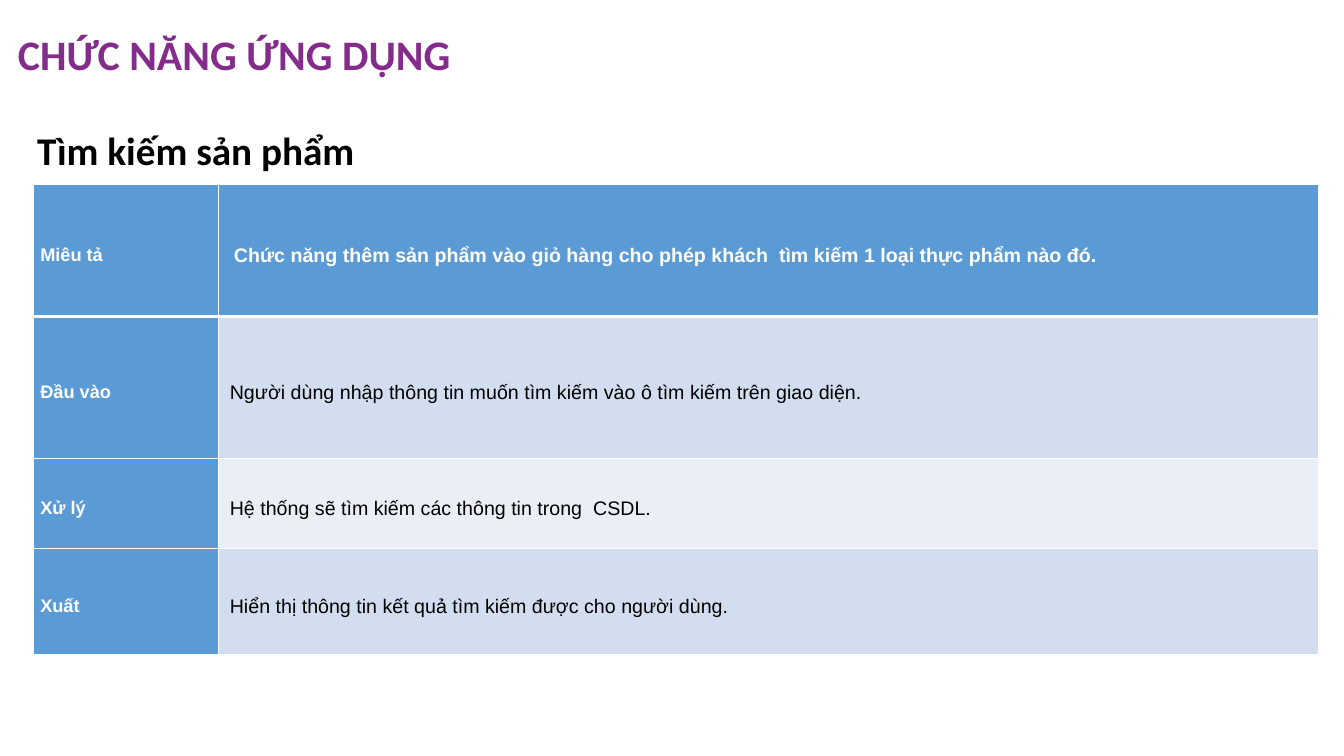
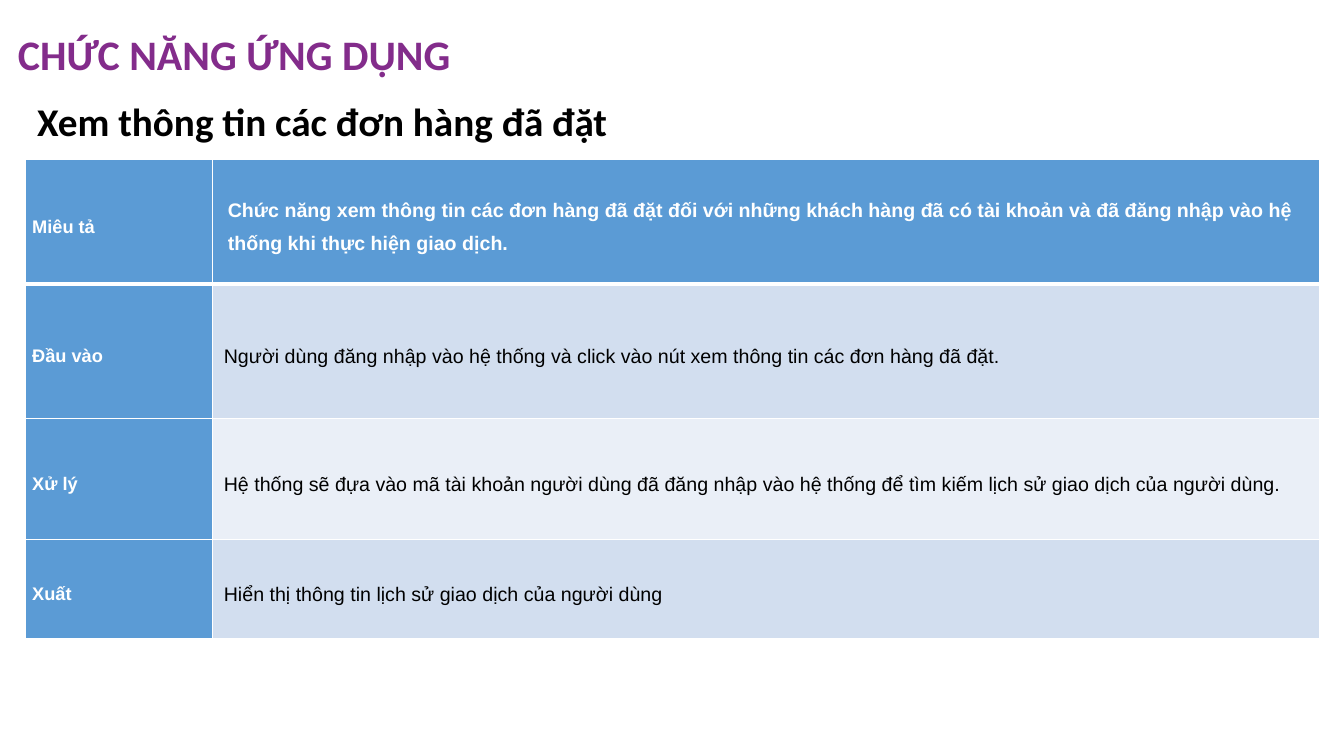
from dataclasses import dataclass

from lxml import etree
from pptx import Presentation
from pptx import util as u
from pptx.dml.color import RGBColor
from pptx.enum import text
from pptx.oxml import ns


@dataclass(frozen=True)
class Theme:
    title: RGBColor = RGBColor(0x83, 0x2C, 0x8B)
    ink: RGBColor = RGBColor(0, 0, 0)
    white: RGBColor = RGBColor(0xFF, 0xFF, 0xFF)
    accent: RGBColor = RGBColor(0x5B, 0x9B, 0xD5)
    bands: tuple[RGBColor, ...] = (RGBColor(0xD2, 0xDE, 0xEF), RGBColor(0xEA, 0xEF, 0xF7))
    heading_font: str = "Calibri"
    table_font: str = "Arial"
    title_size: int = 30
    subtitle_size: int = 28
    label_size: int = 13
    detail_size: int = 14
    rule: float = 1
    header_rule: float = 3


@dataclass(frozen=True)
class TextStyle:
    font: str
    size: int
    color: RGBColor
    bold: bool = True
    line_spacing: float = 1.5
    indent: float = 0


@dataclass(frozen=True)
class FunctionPage:
    subtitle: str
    subtitle_spacing: float
    left: float
    top: float
    columns: tuple[float, float]
    rows: tuple[float, ...]
    details: tuple[str, ...]


THEME = Theme()
TITLE = "CHỨC NĂNG ỨNG DỤNG"
LABELS = ("Miêu tả", "Đầu vào", "Xử lý", "Xuất")

TITLE_STYLE = TextStyle(THEME.heading_font, THEME.title_size, THEME.title, line_spacing=0.9)
LABEL_STYLE = TextStyle(THEME.table_font, THEME.label_size, THEME.white)
SUMMARY_STYLE = TextStyle(THEME.table_font, THEME.detail_size, THEME.white, indent=0.08)
DETAIL_STYLE = TextStyle(THEME.table_font, THEME.detail_size, THEME.ink, bold=False, indent=0.04)

PAGES = (
    FunctionPage(
        "Tìm kiếm sản phẩm", 1.5, 0.33, 1.83, (1.84, 10.91), (1.31, 1.41, 0.89, 1.05),
        (
            "Chức năng thêm sản phẩm vào giỏ hàng cho phép khách  tìm kiếm 1 loại thực phẩm nào đó.",
            "Người dùng nhập thông tin muốn tìm kiếm vào ô tìm kiếm trên giao diện.",
            "Hệ thống sẽ tìm kiếm các thông tin trong  CSDL.",
            "Hiển thị thông tin kết quả tìm kiếm được cho người dùng.",
        ),
    ),
    FunctionPage(
        "Xem thông tin các đơn hàng đã đặt", 0.9, 0.25, 1.58, (1.86, 10.98), (1.24, 1.33, 1.2, 0.99),
        (
            "Chức năng xem thông tin các đơn hàng đã đặt đối với những khách hàng đã có tài khoản "
            "và đã đăng nhập vào hệ thống khi thực hiện giao dịch.",
            "Người dùng đăng nhập vào hệ thống và click vào nút xem thông tin các đơn hàng đã đặt.",
            "Hệ thống sẽ đựa vào mã tài khoản người dùng đã đăng nhập vào hệ thống để tìm kiếm "
            "lịch sử giao dịch của người dùng.",
            "Hiển thị thông tin lịch sử giao dịch của người dùng",
        ),
    ),
)


def write(frame, content: str, style: TextStyle) -> None:
    paragraph = frame.paragraphs[0]
    paragraph.line_spacing = style.line_spacing
    if style.indent:
        properties = paragraph._p.get_or_add_pPr()
        properties.set("marL", str(u.Inches(style.indent)))
        properties.set("indent", "0")
    run = paragraph.add_run()
    run.text = content
    run.font.name = style.font
    run.font.size = u.Pt(style.size)
    run.font.bold = style.bold
    run.font.color.rgb = style.color


def add_heading(slide, top: float, width: float, height: float, content: str,
                style: TextStyle, anchor: text.MSO_ANCHOR) -> None:
    box = slide.shapes.add_textbox(u.Inches(0.08), u.Inches(top), u.Inches(width), u.Inches(height))
    frame = box.text_frame
    frame.word_wrap = True
    frame.vertical_anchor = anchor
    frame.margin_left = frame.margin_right = u.Inches(0.1)
    frame.margin_top = frame.margin_bottom = u.Inches(0.1)
    write(frame, content, style)


def set_borders(cell, top: float, bottom: float) -> None:
    """Draw white rules; call before the fill, which must follow them in the XML."""
    properties = cell._tc.get_or_add_tcPr()
    sides = {"lnL": THEME.rule, "lnR": THEME.rule, "lnT": top, "lnB": bottom}
    for side, width in sides.items():
        line = etree.SubElement(properties, ns.qn(f"a:{side}"), w=str(u.Pt(width)))
        fill = etree.SubElement(line, ns.qn("a:solidFill"))
        etree.SubElement(fill, ns.qn("a:srgbClr"), val=str(THEME.white))


def fill_cell(cell, row: int, content: str, style: TextStyle, color: RGBColor) -> None:
    set_borders(
        cell,
        top=THEME.header_rule if row == 1 else THEME.rule,
        bottom=THEME.header_rule if row == 0 else THEME.rule,
    )
    cell.fill.solid()
    cell.fill.fore_color.rgb = color
    cell.vertical_anchor = text.MSO_ANCHOR.MIDDLE
    cell.margin_left = cell.margin_right = u.Inches(0.07)
    cell.margin_top = cell.margin_bottom = 0
    write(cell.text_frame, content, style)


def add_function_table(slide, page: FunctionPage) -> None:
    table = slide.shapes.add_table(
        len(page.rows), len(page.columns), u.Inches(page.left), u.Inches(page.top),
        u.Inches(sum(page.columns)), u.Inches(sum(page.rows)),
    ).table
    table.first_row = table.horz_banding = False
    for column, width in zip(table.columns, page.columns):
        column.width = u.Inches(width)
    for index, (height, label, detail) in enumerate(zip(page.rows, LABELS, page.details)):
        table.rows[index].height = u.Inches(height)
        is_header = index == 0
        style = SUMMARY_STYLE if is_header else DETAIL_STYLE
        color = THEME.accent if is_header else THEME.bands[(index - 1) % len(THEME.bands)]
        fill_cell(table.cell(index, 0), index, label, LABEL_STYLE, THEME.accent)
        fill_cell(table.cell(index, 1), index, detail, style, color)


def add_page(presentation, page: FunctionPage) -> None:
    slide = presentation.slides.add_slide(presentation.slide_layouts[6])
    subtitle_style = TextStyle(
        THEME.heading_font, THEME.subtitle_size, THEME.ink,
        line_spacing=page.subtitle_spacing, indent=0.19,
    )
    add_heading(slide, 0, 11.5, 1.12, TITLE, TITLE_STYLE, text.MSO_ANCHOR.MIDDLE)
    add_heading(slide, 0.92, 13, 6, page.subtitle, subtitle_style, text.MSO_ANCHOR.TOP)
    add_function_table(slide, page)


def main() -> None:
    presentation = Presentation()
    presentation.slide_width = u.Inches(13.33)
    presentation.slide_height = u.Inches(7.5)
    for page in PAGES:
        add_page(presentation, page)
    presentation.save("out.pptx")


if __name__ == "__main__":
    main()
